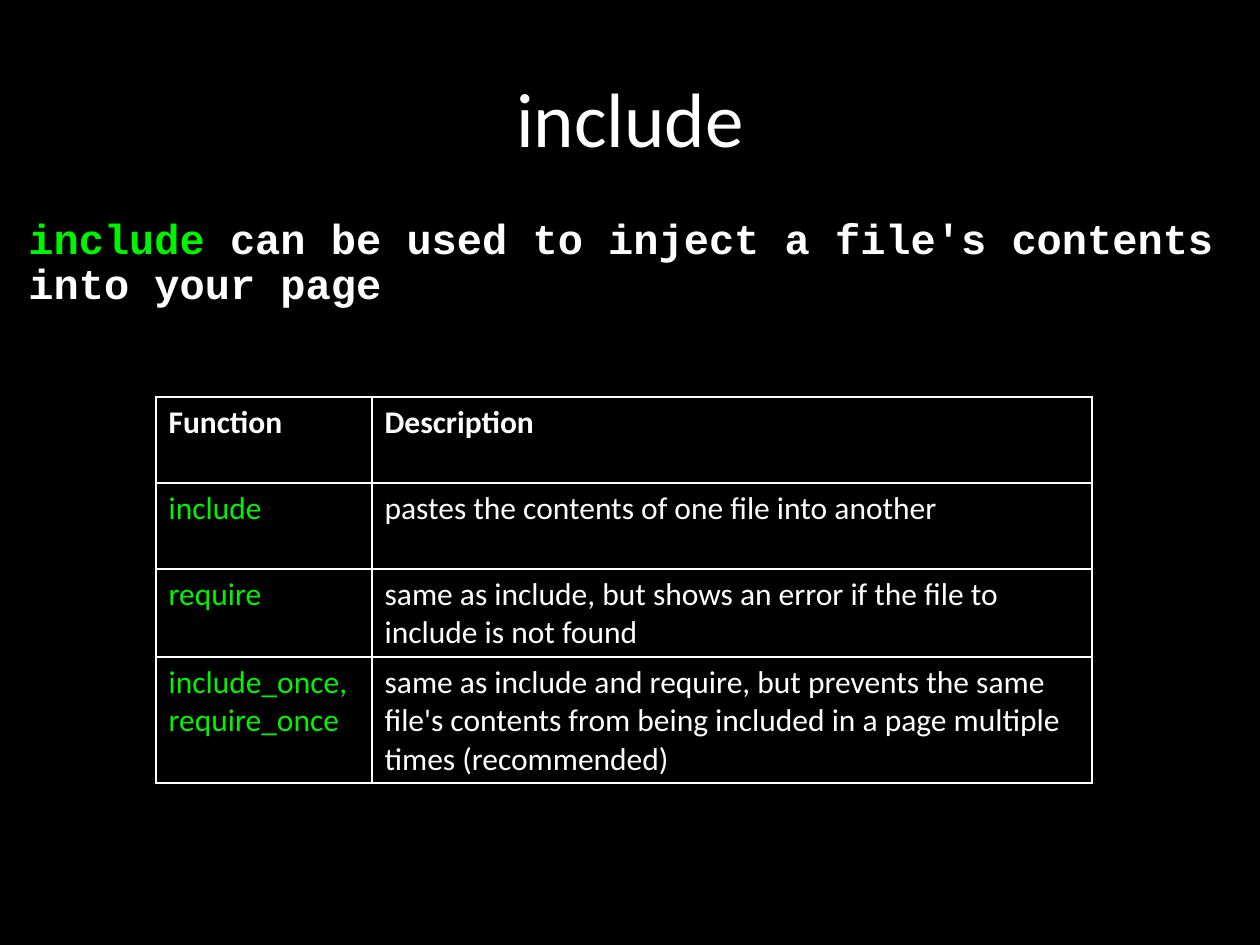
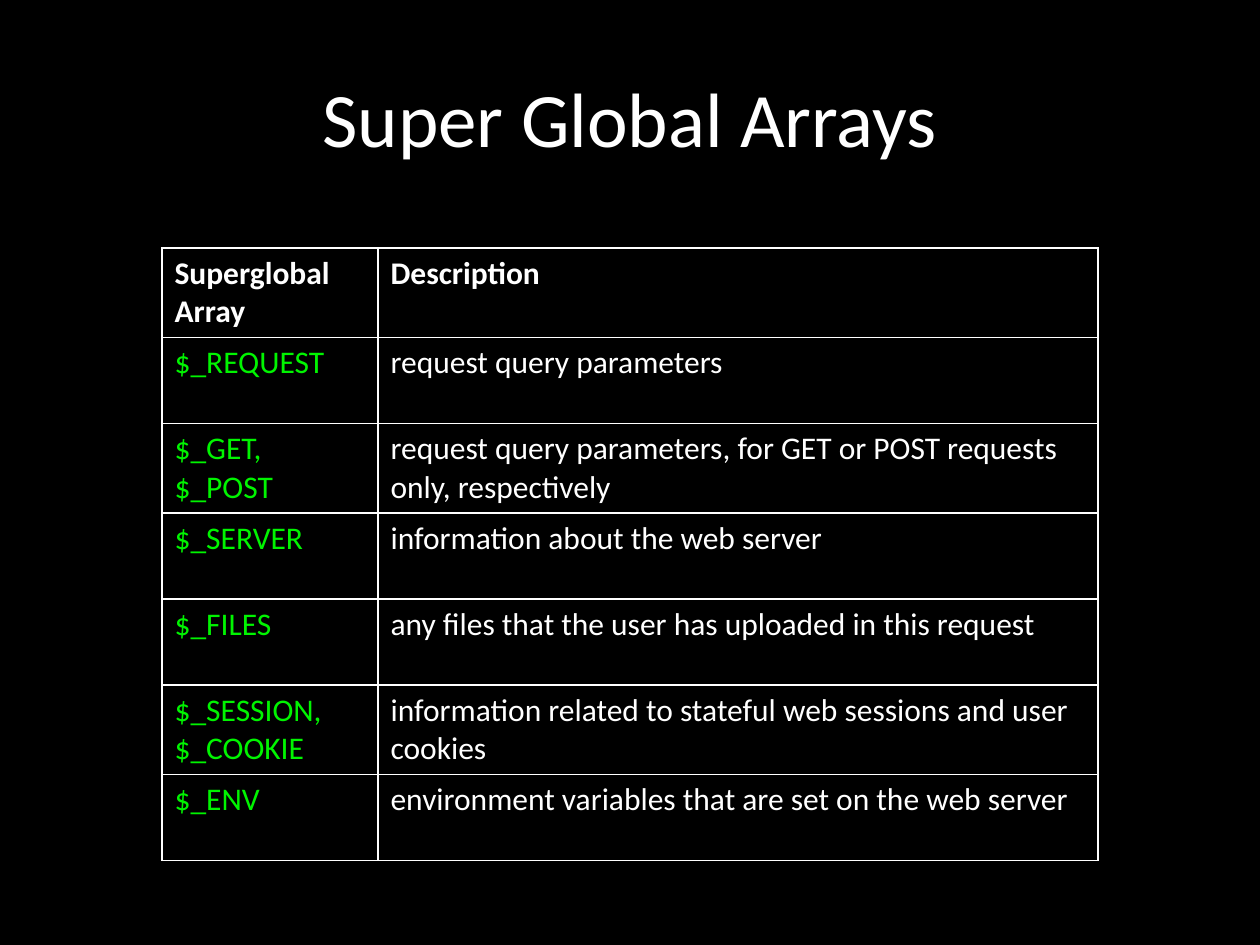
from lxml.etree import SubElement
from pptx import Presentation
from pptx.dml.color import RGBColor
from pptx.enum.text import MSO_ANCHOR, PP_ALIGN
from pptx.oxml.ns import qn
from pptx.util import Emu, Pt

PX_PER_INCH = 126
BLACK, WHITE, GREEN = "000000", "FFFFFF", "00F400"
SANS, MONO = "Calibri", "Courier New"
TITLE_BOX = (63, 38, 1134, 158)
COLUMN_WIDTHS = (216, 720)
ROW_HEIGHT = 86
NAME_MARGIN_RIGHT = 18

INCLUDE_ROWS = [
    ("Function", "Description"),
    ("include", "pastes the contents of one file into another"),
    ("require", "same as include, but shows an error if the file to include is not found"),
    ("include_once,\nrequire_once",
     "same as include and require, but prevents the same file's contents "
     "from being included in a page multiple times (recommended)"),
]
ARRAY_ROWS = [
    ("Superglobal Array", "Description"),
    ("$_REQUEST", "request query parameters"),
    ("$_GET, $_POST", "request query parameters, for GET or POST requests only, respectively"),
    ("$_SERVER", "information about the web server"),
    ("$_FILES", "any files that the user has uploaded in this request"),
    ("$_SESSION, $_COOKIE", "information related to stateful web sessions and user cookies"),
    ("$_ENV", "environment variables that are set on the web server"),
]


def px(length):
    return Emu(round(length * 914400 / PX_PER_INCH))


def color(value):
    return RGBColor.from_string(value)


def format_span(span, font, size, shade, bold=False):
    span.font.name = font
    span.font.size = Pt(size)
    span.font.bold = bold
    span.font.color.rgb = color(shade)


def format_text(frame, font, size, shade, bold=False):
    for para in frame.paragraphs:
        for span in para.runs:
            format_span(span, font, size, shade, bold)


def add_page(deck, heading):
    page = deck.slides.add_slide(deck.slide_layouts[5])
    title = page.shapes.title
    title.left, title.top, title.width, title.height = map(px, TITLE_BOX)
    frame = title.text_frame
    frame.text = heading
    frame.vertical_anchor = MSO_ANCHOR.MIDDLE
    frame.paragraphs[0].alignment = PP_ALIGN.CENTER
    format_text(frame, SANS, 44, WHITE)
    return page


def add_statement(page, box, keyword, rest):
    frame = page.shapes.add_textbox(*map(px, box)).text_frame
    frame.word_wrap = True
    para = frame.paragraphs[0]
    para.line_spacing = 0.9
    para.space_before = Pt(5)
    for text, shade in ((keyword, GREEN), (rest, WHITE)):
        span = para.add_run()
        span.text = text
        format_span(span, MONO, 24, shade, bold=True)


def add_borders(cell):
    properties = cell._tc.get_or_add_tcPr()
    for side in ("lnL", "lnR", "lnT", "lnB"):
        line = SubElement(properties, qn(f"a:{side}"), w=str(Pt(1)))
        fill = SubElement(line, qn("a:solidFill"))
        SubElement(fill, qn("a:srgbClr"), val=WHITE)


def add_reference_table(page, left, top, rows):
    box = (left, top, sum(COLUMN_WIDTHS), ROW_HEIGHT * len(rows))
    table = page.shapes.add_table(len(rows), len(COLUMN_WIDTHS), *map(px, box)).table
    table.horz_banding = False
    for column, width in zip(table.columns, COLUMN_WIDTHS):
        column.width = px(width)
    for row_index, row in enumerate(rows):
        table.rows[row_index].height = px(ROW_HEIGHT)
        for column_index, text in enumerate(row):
            cell = table.cell(row_index, column_index)
            header = row_index == 0
            name = column_index == 0
            add_borders(cell)
            cell.fill.solid()
            cell.fill.fore_color.rgb = color(BLACK)
            if name:
                cell.margin_right = px(NAME_MARGIN_RIGHT)
            cell.text_frame.text = text
            shade = GREEN if name and not header else WHITE
            format_text(cell.text_frame, SANS, 18, shade, bold=header)


def build_include_page(deck):
    page = add_page(deck, "include")
    add_statement(page, (16, 212, 1224, 714), "include",
                  " can be used to inject a file's contents into your page")
    add_reference_table(page, 156, 397, INCLUDE_ROWS)


def build_arrays_page(deck):
    page = add_page(deck, "Super Global Arrays")
    add_reference_table(page, 162, 248, ARRAY_ROWS)


def main():
    deck = Presentation()
    deck.slide_width, deck.slide_height = px(1260), px(945)
    background = deck.slide_master.background.fill
    background.solid()
    background.fore_color.rgb = color(BLACK)
    build_include_page(deck)
    build_arrays_page(deck)
    deck.save("out.pptx")


if __name__ == "__main__":
    main()
